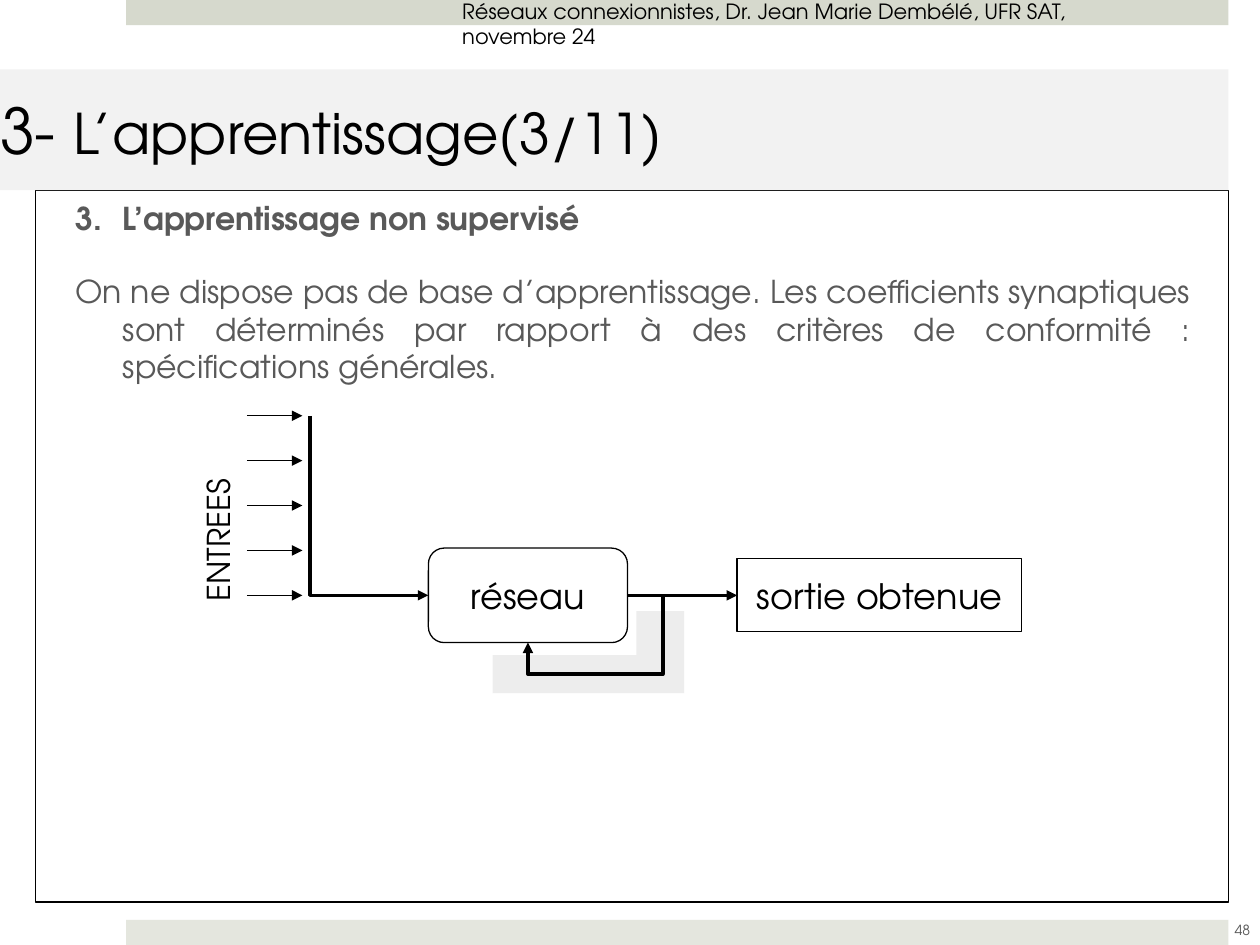
from lxml import etree
from pptx import Presentation
from pptx.dml.color import RGBColor
from pptx.enum.shapes import MSO_CONNECTOR, MSO_SHAPE
from pptx.enum.text import MSO_ANCHOR, PP_ALIGN
from pptx.oxml.ns import qn
from pptx.util import Inches, Pt

RECTANGLE = MSO_SHAPE.RECTANGLE
ROUNDED = MSO_SHAPE.ROUNDED_RECTANGLE
STRAIGHT = MSO_CONNECTOR.STRAIGHT
TOP, MIDDLE = MSO_ANCHOR.TOP, MSO_ANCHOR.MIDDLE
LEFT, CENTER, JUSTIFY = PP_ALIGN.LEFT, PP_ALIGN.CENTER, PP_ALIGN.JUSTIFY

BLACK = RGBColor(0x00, 0x00, 0x00)
GREY = RGBColor(0x59, 0x59, 0x59)
HEADER_GREEN = RGBColor(0xD6, 0xD9, 0xCD)
FOOTER_GREEN = RGBColor(0xE4, 0xE6, 0xDE)
TITLE_GREY = RGBColor(0xF2, 0xF2, 0xF2)
SHADE_GREY = RGBColor(0xDD, 0xDD, 0xDD)

FONT = "TeX Gyre Adventor"
WIDTH, HEIGHT = Inches(10), Inches(7.5)
CELL = WIDTH // 100  # the grid has 100 columns and 75 rows
THIN, THICK = 0.75, 2


def grid(*cells):
    """Turn columns and rows into slide lengths."""
    return [round(cell * CELL) for cell in cells]


def style(shape, fill=None, line=None):
    """Set fill colour and black outline width; None means no paint."""
    shape.shadow.inherit = False
    if fill is None:
        shape.fill.background()
    else:
        shape.fill.solid()
        shape.fill.fore_color.rgb = fill
    if line is None:
        shape.line.fill.background()
    else:
        shape.line.color.rgb = BLACK
        shape.line.width = Pt(line)


def add_box(slide, place, kind=RECTANGLE, fill=None, line=None):
    shape = slide.shapes.add_shape(kind, *grid(*place))
    style(shape, fill, line)
    return shape


def set_frame(shape, anchor=TOP, margins=(1, 0.5, 1, 0.5)):
    """Set wrapping, anchor and left, top, right, bottom margins."""
    left, top, right, bottom = grid(*margins)
    values = {"word_wrap": True, "vertical_anchor": anchor,
              "margin_left": left, "margin_top": top,
              "margin_right": right, "margin_bottom": bottom}
    for name, value in values.items():
        setattr(shape.text_frame, name, value)
    return shape.text_frame


def write(paragraph, runs, color=BLACK, align=LEFT, bold=False):
    """Fill a paragraph with (text, size) runs."""
    paragraph.alignment = align
    for text, size in runs:
        run = paragraph.add_run()
        run.text = text
        values = {"name": FONT, "size": Pt(size), "bold": bold}
        for name, value in values.items():
            setattr(run.font, name, value)
        run.font.color.rgb = color


def add_label(slide, place, text, size, color=BLACK, align=LEFT, anchor=TOP):
    box = slide.shapes.add_textbox(*grid(*place))
    frame = set_frame(box, anchor)
    write(frame.paragraphs[0], [(text, size)], color, align)
    return box


def hang(paragraph, start=None):
    """Give a hanging indent, with a number if start is set."""
    properties = paragraph._p.get_or_add_pPr()
    indent = grid(3.75)[0]
    properties.set("marL", str(indent))
    properties.set("indent", str(-indent))
    if start is None:
        etree.SubElement(properties, qn("a:buNone"))
    else:
        etree.SubElement(properties, qn("a:buAutoNum"),
                         type="arabicPeriod", startAt=str(start))


def add_arrowhead(line):
    etree.SubElement(line.line._get_or_add_ln(), qn("a:tailEnd"), type="triangle")


def add_arrow(slide, start, end, width):
    arrow = slide.shapes.add_connector(STRAIGHT, *grid(*start, *end))
    arrow.line.color.rgb = BLACK
    arrow.line.width = Pt(width)
    etree.SubElement(arrow._element.spPr, qn("a:effectLst"))
    add_arrowhead(arrow)
    return arrow


def add_path(slide, points, close=False):
    start, *rest = [grid(*point) for point in points]
    builder = slide.shapes.build_freeform(*start)
    builder.add_line_segments(rest, close=close)
    return builder.convert_to_shape()


def add_bent_arrow(slide, points):
    path = add_path(slide, points)
    style(path, line=THICK)
    add_arrowhead(path)


def add_body(slide):
    body = add_box(slide, (2.8, 15.1, 94.7, 56.5), line=THIN)
    frame = set_frame(body, margins=(3.2, 1, 3, 1))
    heading, description = frame.paragraphs[0], frame.add_paragraph()
    hang(heading, start=3)
    heading.line_spacing = 0.9
    write(heading, [("L’apprentissage non supervisé", 18)], GREY, JUSTIFY, True)
    hang(description)
    description.space_before = Pt(20)
    write(description, [("On ne dispose pas de base d’apprentissage. Les coefficients "
                         "synaptiques sont déterminés par rapport à des critères de "
                         "conformité : spécifications générales.", 18)], GREY, JUSTIFY)


def add_node(slide, place, text, kind=RECTANGLE):
    node = add_box(slide, place, kind, line=THIN)
    frame = set_frame(node, MIDDLE)
    write(frame.paragraphs[0], [(text, 20)], align=CENTER)
    return node


def add_diagram(slide):
    axis = 47.25  # row shared by network, output and last input

    # Shade behind the feedback loop
    shade = add_path(slide, [(54.3, 48.5), (50.5, 48.5), (50.5, 52), (39.1, 52),
                             (39.1, 55), (54.3, 55)], close=True)
    style(shade, SHADE_GREY)
    color = shade.fill._xPr.find(qn("a:solidFill"))[0]
    etree.SubElement(color, qn("a:alpha"), val="50000")

    # Network and its output
    network = add_node(slide, (34, axis - 3.75, 15.8, 7.5), "réseau", ROUNDED)
    output = add_node(slide, (58.5, axis - 2.9, 22.6, 5.8), "sortie obtenue")
    result = add_arrow(slide, (49.8, axis), (58.5, axis), THICK)
    result.begin_connect(network, 3)
    result.end_connect(output, 1)

    # Feedback loop and input collector
    add_bent_arrow(slide, [(52.6, axis), (52.6, 53.5), (41.9, 53.5), (41.9, 51)])
    add_bent_arrow(slide, [(24.6, 33), (24.6, axis), (34, axis)])

    # Five evenly spaced inputs
    for index in range(5):
        row = 33 + index * (axis - 33) / 4
        add_arrow(slide, (19.6, row), (24, row), THIN)
    inputs = add_label(slide, (8.9, 37.3, 17.8, 5), "ENTREES", 18)
    inputs.rotation = 270


def main():
    presentation = Presentation()
    presentation.slide_width, presentation.slide_height = WIDTH, HEIGHT
    slide = presentation.slides.add_slide(presentation.slide_layouts[6])

    # Bands at top and bottom
    add_box(slide, (10, 0, 87.5, 2), fill=HEADER_GREEN)
    add_box(slide, (10, 73, 87.5, 2), fill=FOOTER_GREEN)

    # Body text, page number and running header
    add_body(slide)
    add_label(slide, (96.1, 71.8, 5, 4), "48", 8, GREY, CENTER, MIDDLE)
    add_label(slide, (35.7, -0.6, 57.5, 3), "Réseaux connexionnistes, "
              "Dr. Jean Marie Dembélé, UFR SAT, novembre 24", 12)

    # Title
    title = add_box(slide, (0, 5.5, 97.5, 9.6), fill=TITLE_GREY)
    frame = set_frame(title, MIDDLE, (0, 0.5, 3, 0.5))
    write(frame.paragraphs[0], [("3- ", 36), ("L’apprentissage(3/11)", 32)])

    add_diagram(slide)
    presentation.save("out.pptx")


if __name__ == "__main__":
    main()
